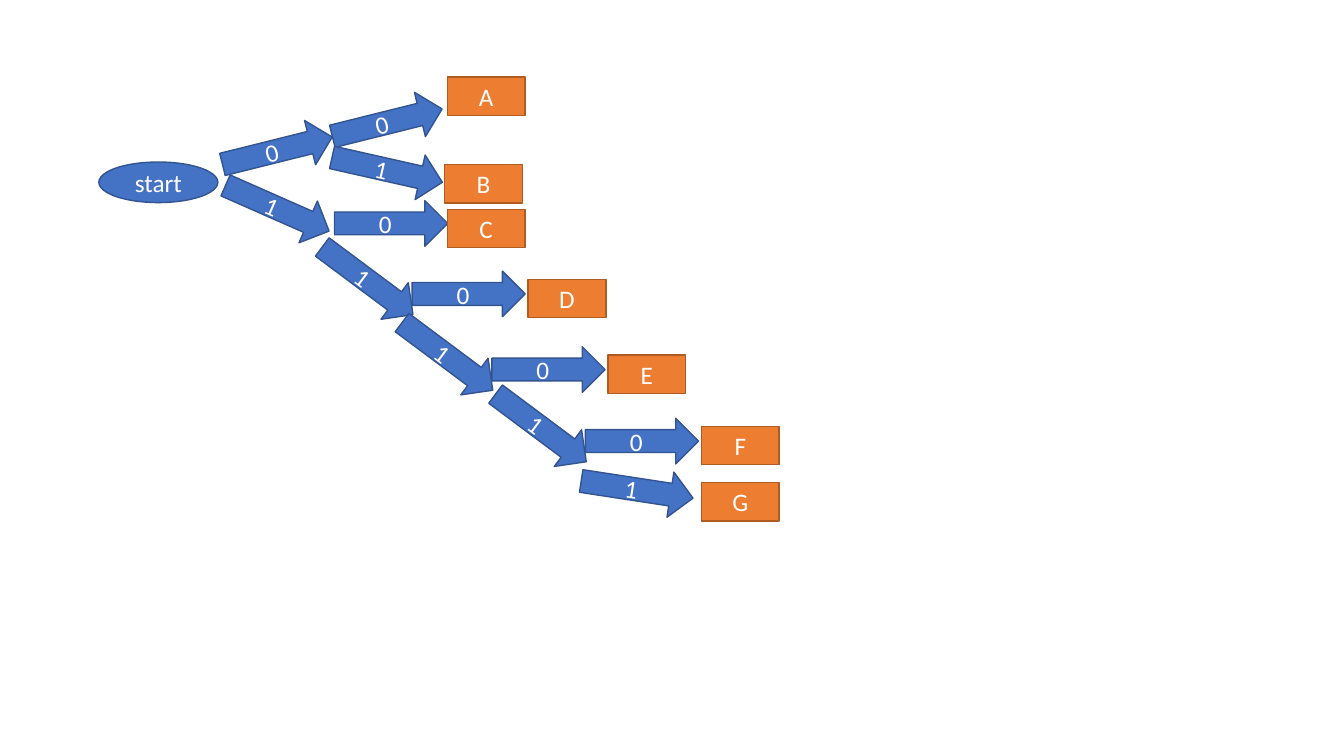
from dataclasses import dataclass
from pptx import Presentation
from pptx.dml.color import RGBColor
from pptx.enum.shapes import MSO_SHAPE
from pptx.enum.text import MSO_ANCHOR, PP_ALIGN
from pptx.util import Pt


@dataclass(frozen=True)
class Theme:
    font: str = "Calibri"
    size: float = 18
    text: str = "FFFFFF"
    blue: str = "4472C4"
    navy: str = "325491"
    orange: str = "ED7D31"
    rust: str = "AF5C24"
    line: float = 1


def write(frame, text, font, size, color):
    frame.vertical_anchor = MSO_ANCHOR.MIDDLE
    par = frame.paragraphs[0]
    par.alignment = PP_ALIGN.CENTER
    run = par.add_run()
    run.text = text
    run.font.name = font
    run.font.size = Pt(size)
    run.font.color.rgb = RGBColor.from_string(color)


class Tree:
    def __init__(self, slide, theme):
        self.slide = slide
        self.theme = theme

    def node(self, kind, text, box, fill, line):
        look = self.theme
        shape = self.slide.shapes.add_shape(kind, *map(Pt, box))
        shape.shadow.inherit = False
        shape.fill.solid()
        shape.fill.fore_color.rgb = RGBColor.from_string(fill)
        shape.line.color.rgb = RGBColor.from_string(line)
        shape.line.width = Pt(look.line)
        write(shape.text_frame, text, font=look.font, size=look.size,
              color=look.text)
        return shape

    def root(self, text, x, y):
        self.node(MSO_SHAPE.OVAL, text, (x, y, 85, 29),
                  self.theme.blue, self.theme.navy)

    def branch(self, bit, x, y, turn=0):
        arrow = self.node(MSO_SHAPE.RIGHT_ARROW, bit, (x, y, 80.8, 32.6),
                          self.theme.blue, self.theme.navy)
        arrow.rotation = turn

    def leaf(self, name, x, y):
        self.node(MSO_SHAPE.RECTANGLE, name, (x, y, 55.6, 27.4),
                  self.theme.orange, self.theme.rust)


def main():
    deck = Presentation()
    deck.slide_width, deck.slide_height = Pt(960), Pt(540)
    tree = Tree(deck.slides.add_slide(deck.slide_layouts[6]), Theme())

    # Start and the upper half: codes 00 and 01
    tree.branch("0", 157.7, 91.4, turn=346)
    tree.root("start", 70.6, 115.7)
    tree.branch("0", 236.2, 71.3, turn=346)
    tree.leaf("A", 319.5, 54.9)
    tree.branch("1", 236.2, 105.1, turn=12.7)
    tree.leaf("B", 317.5, 117.5)

    # Code 10
    tree.branch("1", 157.7, 132.5, turn=23.8)
    tree.branch("0", 239, 143.3)
    tree.leaf("C", 319.5, 149.6)

    # Each further 1 steps down, and its 0 ends in a leaf
    for name, x, y in (("D", 294.4, 193.7), ("E", 351.4, 247.7),
                       ("F", 418.2, 298.8)):
        tree.branch("1", x - 72.2, y - 9.4, turn=36.7)
        tree.branch("0", x, y)
        tree.leaf(name, x + 82.8, y + 5.8)

    # The last 1 also ends in a leaf
    tree.branch("1", 414.7, 333.4, turn=8.7)
    tree.leaf("G", 501, 344.7)

    deck.save("out.pptx")


if __name__ == "__main__":
    main()
